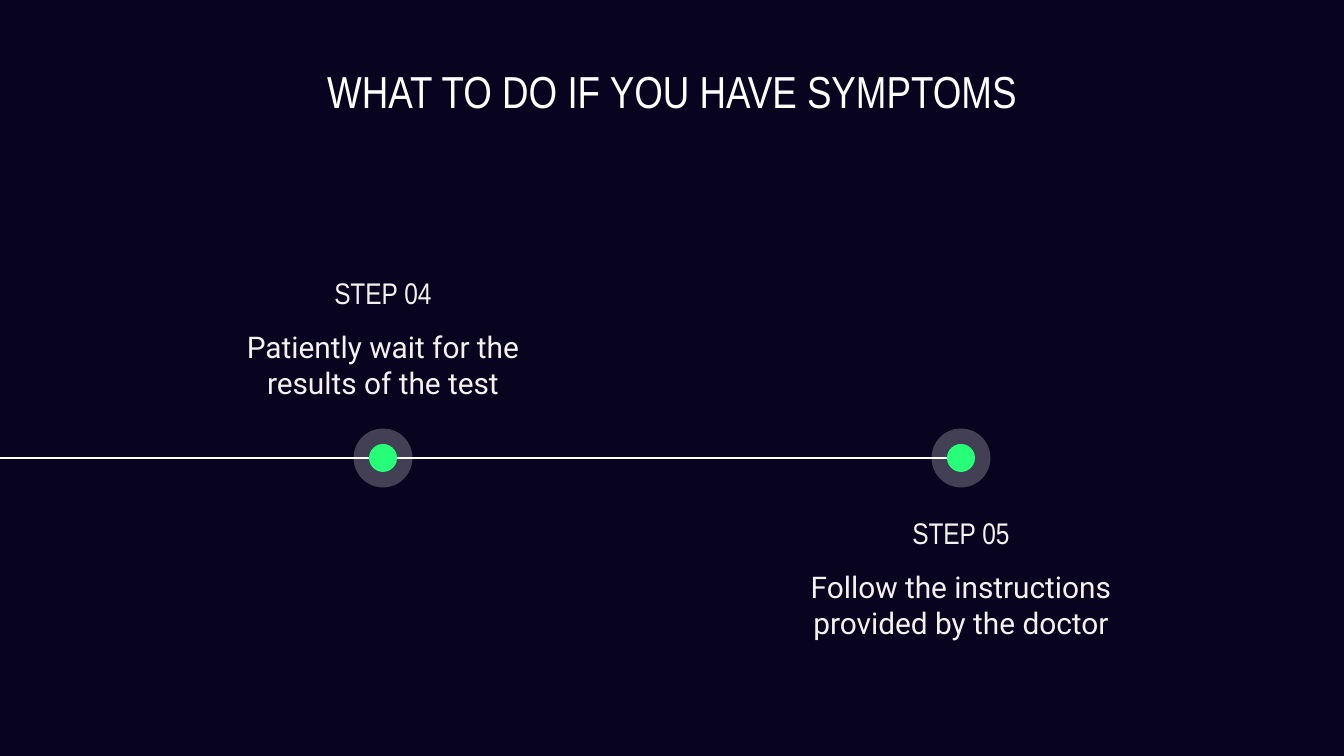
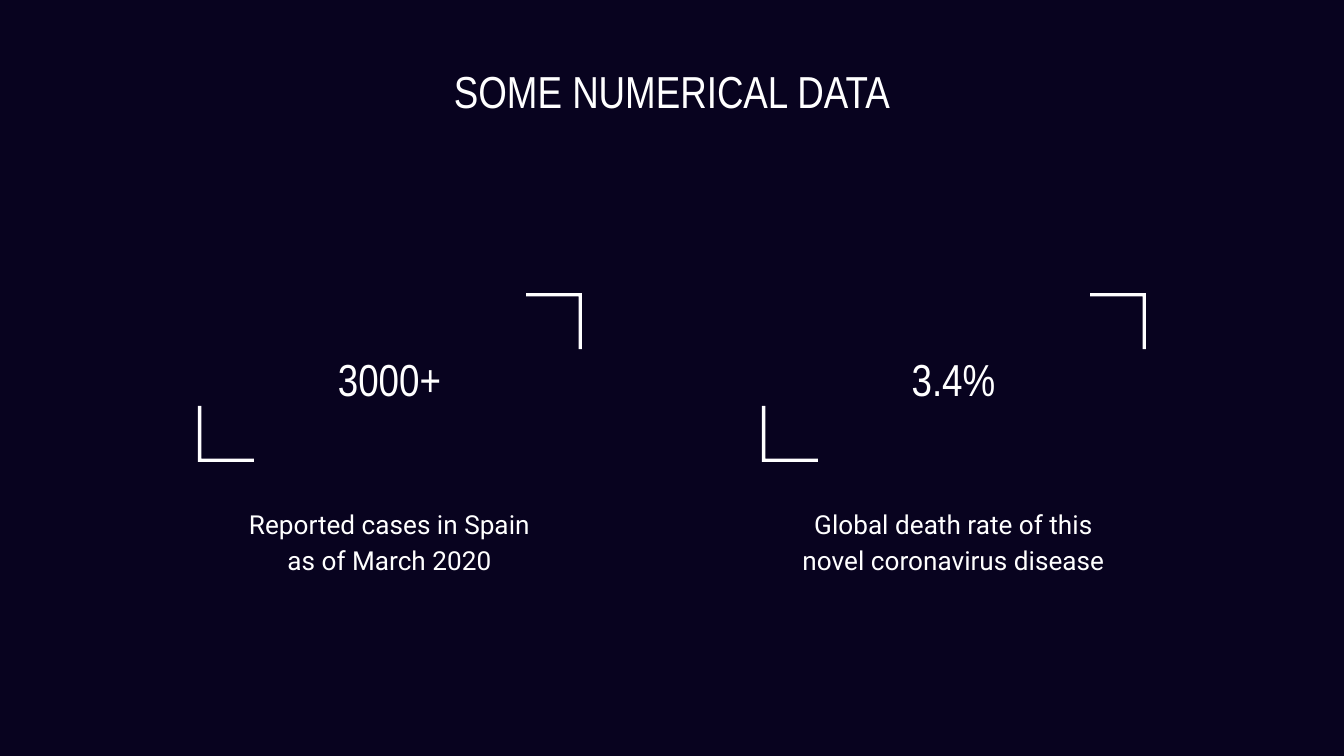
from lxml import etree
from pptx import Presentation
from pptx.dml.color import RGBColor
from pptx.enum.shapes import MSO_CONNECTOR, MSO_SHAPE
from pptx.enum.text import MSO_ANCHOR, MSO_AUTO_SIZE, PP_ALIGN
from pptx.oxml.ns import qn
from pptx.util import Pt

CENTER = PP_ALIGN.CENTER
TOP, MIDDLE = MSO_ANCHOR.TOP, MSO_ANCHOR.MIDDLE
NO_FIT = MSO_AUTO_SIZE.NONE
ELLIPSE, CORNER = MSO_SHAPE.OVAL, MSO_SHAPE.CORNER
STRAIGHT = MSO_CONNECTOR.STRAIGHT

NAVY, WHITE, CREAM, GREEN = "08031F", "FFFFFF", "F4F2EF", "27FF78"
HEADING, BODY = "Arial Narrow", "Roboto"

STEPS_TITLE = "WHAT TO DO IF YOU HAVE SYMPTOMS"
STEPS = [
    {"name": "STEP 04", "text": "Patiently wait for the results of the test", "x": 383, "top": 251},
    {"name": "STEP 05", "text": "Follow the instructions provided by the doctor", "x": 961, "top": 491},
]
DATA_TITLE = "SOME NUMERICAL DATA"
DATA = [
    ("3000+", "Reported cases in Spain as of March 2020"),
    ("3.4%", "Global death rate of this novel coronavirus disease"),
]

TITLE_BOX = (138, 51, 1068, 75)
INSET, STEP_INSET = (13, 13), (24, 0)
LINE_Y, HALO, DOT = 458, 59, 28
STEP_W, NAME_H, STEP_H, STEP_DROP = 383, 59, 101, 54
FRAME_X, FRAME_Y, FRAME_W, FRAME_H, FRAME_PITCH = 198, 293, 384, 169, 564
BRACKET = 56


def px(n):
    return round(n * 914400 / 134.4)


def rgb(color):
    return RGBColor.from_string(color)


def write(shape, box, text, size, font, color, inset=INSET, anchor=TOP, after=0, spacing=1.0):
    shape.left, shape.top, shape.width, shape.height = map(px, box)
    tf = shape.text_frame
    tf.word_wrap = True
    tf.auto_size = NO_FIT
    tf.vertical_anchor = anchor
    tf.margin_left = tf.margin_right = px(13)
    tf.margin_top, tf.margin_bottom = map(px, inset)
    p = tf.paragraphs[0]
    p.alignment = CENTER
    p.line_spacing = spacing
    p.space_after = Pt(after)
    r = p.add_run()
    r.text = text
    r.font.size = Pt(size)
    r.font.name = font
    r.font.color.rgb = rgb(color)


def add_text(s, box, *args, **kwargs):
    write(s.shapes.add_textbox(0, 0, 0, 0), box, *args, **kwargs)


def add_shape(s, kind, box, color, alpha=None):
    sp = s.shapes.add_shape(kind, *map(px, box))
    sp.shadow.inherit = False
    sp.line.fill.background()
    sp.fill.solid()
    sp.fill.fore_color.rgb = rgb(color)
    if alpha is not None:
        fill = sp.fill._xPr.find(qn("a:solidFill"))[0]
        etree.SubElement(fill, qn("a:alpha")).set("val", str(alpha * 1000))
    return sp


def add_circle(s, x, size, color, alpha=None):
    add_shape(s, ELLIPSE, (x - size / 2, LINE_Y - size / 2, size, size), color, alpha)


def add_line(s, x1, x2):
    line = s.shapes.add_connector(STRAIGHT, px(x1), px(LINE_Y), px(x2), px(LINE_Y))
    line.line.color.rgb = rgb(WHITE)
    line.line.width = Pt(1.5)
    etree.SubElement(line._element.spPr, qn("a:effectLst"))


def add_bracket(s, x, y, rotation=0):
    sp = add_shape(s, CORNER, (x, y, BRACKET, BRACKET), WHITE)
    sp.adjustments[0], sp.adjustments[1] = 0.06, 0.06
    sp.rotation = rotation


def add_slide(prs, title):
    s = prs.slides.add_slide(prs.slide_layouts[5])
    write(s.shapes.title, TITLE_BOX, title, 24, HEADING, WHITE)
    return s


def build_steps(prs):
    s = add_slide(prs, STEPS_TITLE)
    start = 0
    for step in STEPS:
        x, top = step["x"], step["top"]
        left = x - STEP_W / 2
        add_circle(s, x, HALO, WHITE, 24)
        add_circle(s, x, DOT, GREEN)
        add_line(s, start, x - DOT / 2)
        start = x + DOT / 2
        add_text(s, (left, top, STEP_W, NAME_H), step["name"], 16, HEADING, CREAM,
                 inset=STEP_INSET, after=16)
        add_text(s, (left, top + STEP_DROP, STEP_W, STEP_H), step["text"], 16, BODY, CREAM,
                 inset=STEP_INSET, after=16)
    # the next line continues the halo of the last dot
    return s


def build_data(prs):
    s = add_slide(prs, DATA_TITLE)
    for i, (number, caption) in enumerate(DATA):
        x = FRAME_X + i * FRAME_PITCH
        add_bracket(s, x, FRAME_Y + FRAME_H - BRACKET)
        add_bracket(s, x + FRAME_W - BRACKET, FRAME_Y, 180)
        add_text(s, (x + 27, 296, 329, 165), number, 24, HEADING, WHITE, anchor=MIDDLE)
        add_text(s, (x + 27, 491, 329, 98), caption, 14, BODY, WHITE, after=16, spacing=1.15)


def main():
    prs = Presentation()
    prs.slide_width, prs.slide_height = px(1344), px(756)
    fill = prs.slide_master.background.fill
    fill.solid()
    fill.fore_color.rgb = rgb(NAVY)
    build_steps(prs)
    build_data(prs)
    prs.save("out.pptx")


if __name__ == "__main__":
    main()
